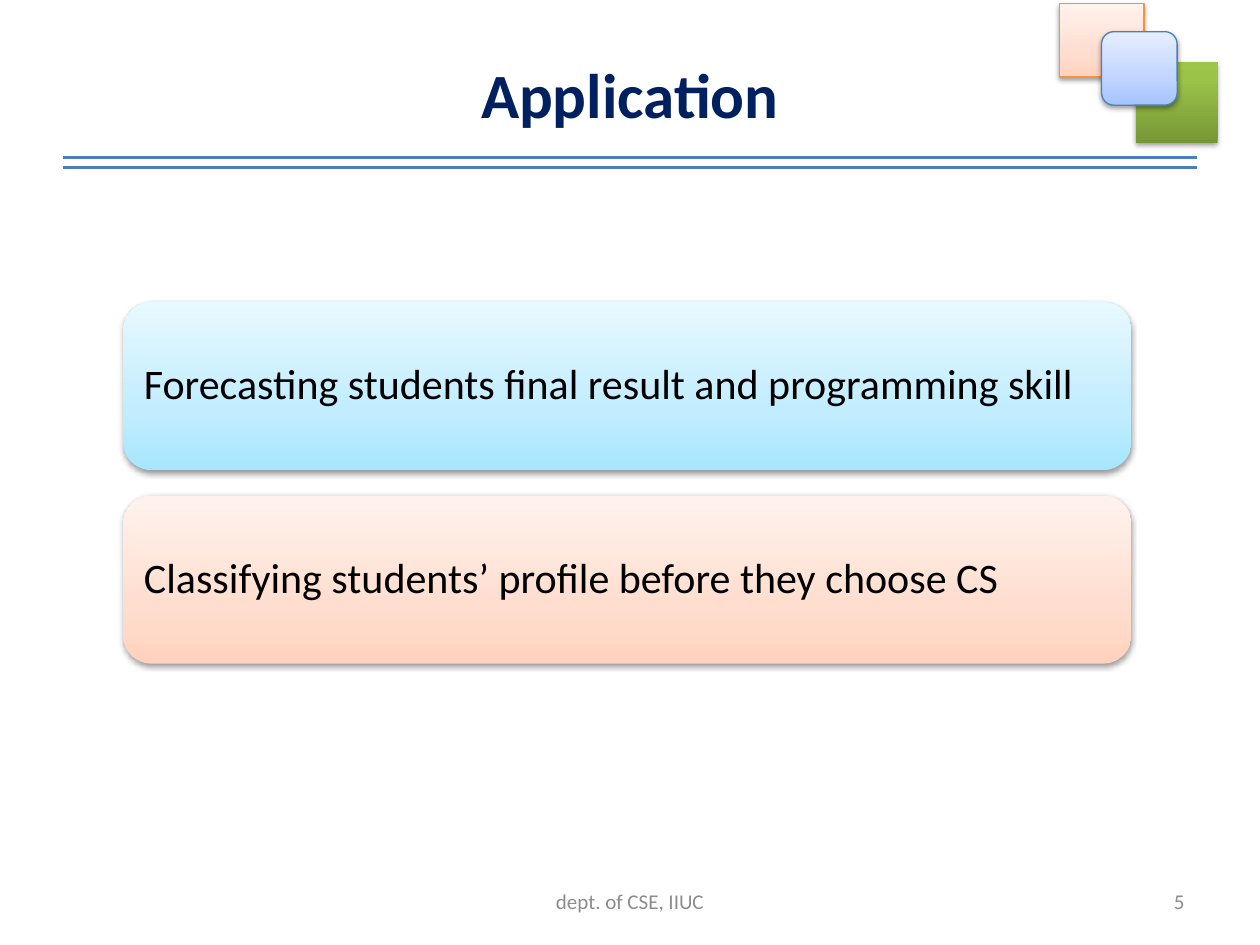
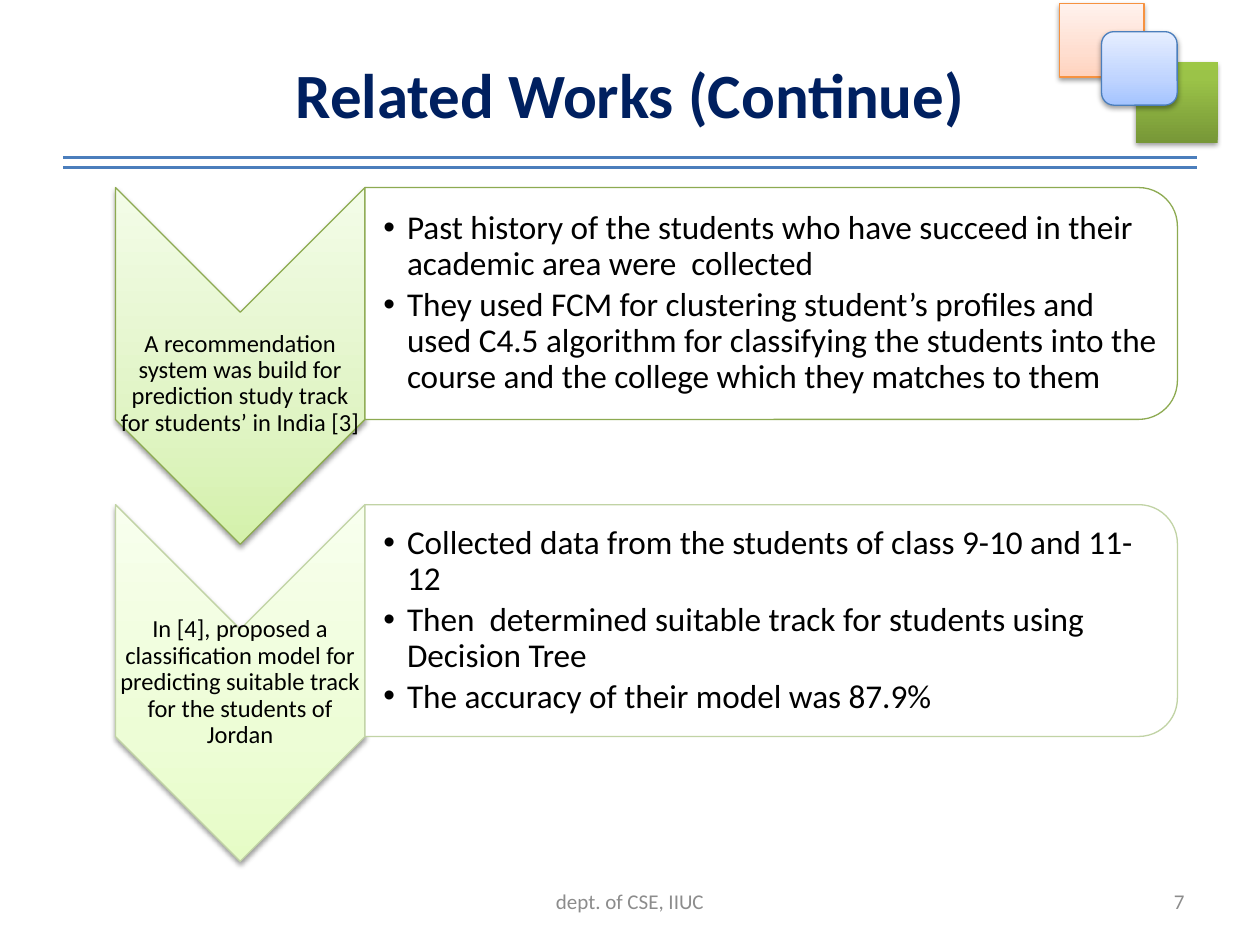
from lxml.etree import SubElement
from pptx import Presentation
from pptx.dml.color import RGBColor
from pptx.enum.shapes import MSO_CONNECTOR, MSO_SHAPE
from pptx.enum.text import MSO_ANCHOR, MSO_AUTO_SIZE, PP_ALIGN
from pptx.oxml.ns import qn
from pptx.util import Pt

FONT = "Calibri"
NAVY = RGBColor(0x00, 0x20, 0x60)
BLACK = RGBColor(0x00, 0x00, 0x00)
WHITE = RGBColor(0xFF, 0xFF, 0xFF)
GRAY = RGBColor(0x8C, 0x8C, 0x8C)
BLUE = RGBColor(0x4B, 0x7E, 0xBC)
ORANGE = RGBColor(0xF6, 0x92, 0x40)
OLIVE = RGBColor(0x8D, 0xAA, 0x51)
PALE_OLIVE = RGBColor(0xC1, 0xD3, 0xA5)


def gradient(middle, *colors):
    return list(zip((0, middle, 100), map(RGBColor.from_string, colors)))


SKY_FADE = gradient(35, "A7E6FF", "C1EDFF", "E7F8FF")
PEACH_FADE = gradient(35, "FFD2BD", "FFDED0", "FFF2ED")
BLUE_FADE = gradient(35, "A4C4FF", "BFD4FF", "E6EEFF")
GREEN_FADE = gradient(80, "779737", "9BC348", "9DC746")
LEAF_FADE = gradient(35, "D4F1AB", "E0F4C4", "F3FCE8")
LIME_FADE = gradient(35, "E6FCC6", "EDFDD6", "F8FFEE")


def write_text(frame, *texts, size, color=BLACK, bold=False, align=PP_ALIGN.LEFT,
               margins=(7.2, 3.6, 7.2, 3.6), line_spacing=1.0, space_after=0, hanging=0):
    frame.word_wrap = True
    frame.auto_size = MSO_AUTO_SIZE.NONE
    frame.vertical_anchor = MSO_ANCHOR.MIDDLE
    (frame.margin_left, frame.margin_top,
     frame.margin_right, frame.margin_bottom) = map(Pt, margins)
    for index, text in enumerate(texts):
        paragraph = frame.add_paragraph() if index else frame.paragraphs[0]
        paragraph.text = text
        paragraph.alignment = align
        paragraph.line_spacing = line_spacing
        paragraph.space_before = Pt(0)
        paragraph.space_after = Pt(space_after)
        if hanging:
            properties = paragraph._p.get_or_add_pPr()
            properties.set("marL", str(Pt(hanging)))
            properties.set("indent", str(-Pt(hanging)))
        font = paragraph.font
        font.name, font.size, font.bold = FONT, Pt(size), bold
        font.color.rgb = color


def place(part, box):
    part.left, part.top, part.width, part.height = map(Pt, box)


def add_label(slide, box, text, **text_format):
    label = slide.shapes.add_textbox(*map(Pt, box))
    write_text(label.text_frame, text, **text_format)


def fade(shape, stops):
    shape.fill.gradient()
    shape.fill.gradient_angle = 90
    fill = shape._element.spPr.find(qn("a:gradFill"))
    fill.set("rotWithShape", "0")
    stop_list = fill.find(qn("a:gsLst"))
    stop_list.clear()
    for position, color in stops:
        stop = SubElement(stop_list, qn("a:gs"), pos=str(position * 1000))
        SubElement(stop, qn("a:srgbClr"), val=str(color))


def cast_shadow(shape):
    effects = shape._element.spPr.find(qn("a:effectLst"))
    shadow = SubElement(effects, qn("a:outerShdw"), blurRad=str(Pt(3.1)),
                        dist=str(Pt(1.6)), dir="5400000", rotWithShape="0")
    color = SubElement(shadow, qn("a:srgbClr"), val="000000")
    SubElement(color, qn("a:alpha"), val="38000")


def add_block(slide, preset, box, stops=None, outline=None, turned=False):
    left, top, width, height = box
    if turned:
        left, top = left + (width - height) / 2, top + (height - width) / 2
        width, height = height, width
    block = slide.shapes.add_shape(preset, *map(Pt, (left, top, width, height)))
    block.rotation = 90 if turned else 0
    block.shadow.inherit = False
    if stops:
        fade(block, stops)
        cast_shadow(block)
    else:
        block.fill.solid()
        block.fill.fore_color.rgb = WHITE
    if outline is None:
        block.line.fill.background()
    else:
        block.line.color.rgb = outline
        block.line.width = Pt(0.75)
    return block


def add_header(slide, box, heading):
    left, top, width, height = box
    place(slide.shapes.title, box)
    write_text(slide.shapes.title.text_frame, heading, size=36, color=NAVY,
               bold=True, align=PP_ALIGN.CENTER)
    for y in (top + 81.4, top + 87.1):
        rule = slide.shapes.add_connector(
            MSO_CONNECTOR.STRAIGHT, Pt(left), Pt(y), Pt(left + width), Pt(y))
        rule.line.color.rgb = BLUE
        rule.line.width = Pt(2.25)
        SubElement(rule._element.spPr, qn("a:effectLst"))


def add_emblem(slide, left, top):
    for preset, (x, y, width, height), stops, outline in (
        (MSO_SHAPE.RECTANGLE, (0, 0, 48.2, 42), PEACH_FADE, ORANGE),
        (MSO_SHAPE.RECTANGLE, (43.5, 33.4, 46.8, 46), GREEN_FADE, None),
        (MSO_SHAPE.ROUNDED_RECTANGLE, (24, 16, 43.2, 42), BLUE_FADE, BLUE),
    ):
        add_block(slide, preset, (left + x, top + y, width, height), stops, outline)


def add_footer(slide, box, number):
    left, top, width, height = box
    style = {"size": 12, "color": GRAY}
    add_label(slide, (left + 210, top, 228, height), "dept. of CSE, IIUC",
              align=PP_ALIGN.CENTER, **style)
    add_label(slide, (left + width - 168, top, 168, height), number,
              align=PP_ALIGN.RIGHT, **style)


def add_slide(deck, layout, heading, number):
    slide = deck.slides.add_slide(deck.slide_layouts[layout])
    add_header(slide, (36, 8.6, 648, 90), heading)
    add_emblem(slide, 605.5, 2.1)
    add_footer(slide, (36, 500.4, 648, 28.8), number)
    return slide


def add_statements(slide, box, statements):
    left, top, width, height = box
    gap = 14.6
    card_height = (height - gap * (len(statements) - 1)) / len(statements)
    for index, (statement, stops) in enumerate(statements):
        card = add_block(slide, MSO_SHAPE.ROUNDED_RECTANGLE,
                         (left, top + index * (card_height + gap), width, card_height),
                         stops)
        write_text(card.text_frame, statement, size=24, line_spacing=0.9,
                   margins=(7.2,) * 4)


def add_work(slide, box, body, summary, findings, stops, outline, summary_shift=0):
    left, top, width, height = box
    arrow_width, panel_height = 142.5, 132.5
    add_block(slide, MSO_SHAPE.CHEVRON, (left, top, arrow_width, height),
              stops, outline, turned=True)
    add_label(slide, (left, top + 71.3 + summary_shift, arrow_width, 61.2), summary,
              size=14, align=PP_ALIGN.CENTER, margins=(0.72,) * 4, line_spacing=0.9)
    panel_left, panel_width = left + arrow_width, width - arrow_width
    add_block(slide, MSO_SHAPE.ROUND_2_SAME_RECTANGLE,
              (panel_left, top, panel_width, panel_height), outline=outline, turned=True)
    place(body, (panel_left, top + 6.5, panel_width - 6.5, panel_height - 13))
    write_text(body.text_frame, *findings, size=19, margins=(10.6, 0.72, 0.72, 0.72),
               line_spacing=0.9, space_after=2.85, hanging=13.5)
    slide.shapes._spTree.append(body._element)


def build_application(deck):
    slide = add_slide(deck, 5, "Application", "5")
    add_statements(slide, (70.5, 172.6, 576, 206.6), (
        ("Forecasting students final result and programming skill", SKY_FADE),
        ("Classifying students’ profile before they choose CS", PEACH_FADE),
    ))


def build_related_works(deck):
    slide = add_slide(deck, 3, "Related Works (Continue)", "7")
    works = (
        ("A recommendation system was build for prediction study track for students’ in India [3]",
         ("Past history of the students who have succeed in their academic area were  collected",
          "They used FCM for clustering student’s profiles and used C4.5 algorithm for "
          "classifying the students into the course and the college which they matches to them"),
         LEAF_FADE, OLIVE, 10.2),
        ("In [4], proposed a classification model for predicting suitable track "
         "for the students of Jordan",
         ("Collected data from the students of class 9-10 and 11-12",
          "Then  determined suitable track for students using Decision Tree",
          "The accuracy of their model was 87.9%"),
         LIME_FADE, PALE_OLIVE, 0),
    )
    bodies = list(slide.placeholders)[1:3]
    for index, (body, work) in enumerate(zip(bodies, works)):
        add_work(slide, (66, 107.2 + index * 181.2, 606.8, 203.8), body, *work)


def main():
    deck = Presentation()
    deck.slide_width, deck.slide_height = Pt(720), Pt(540)
    build_application(deck)
    build_related_works(deck)
    deck.save("out.pptx")


if __name__ == "__main__":
    main()
